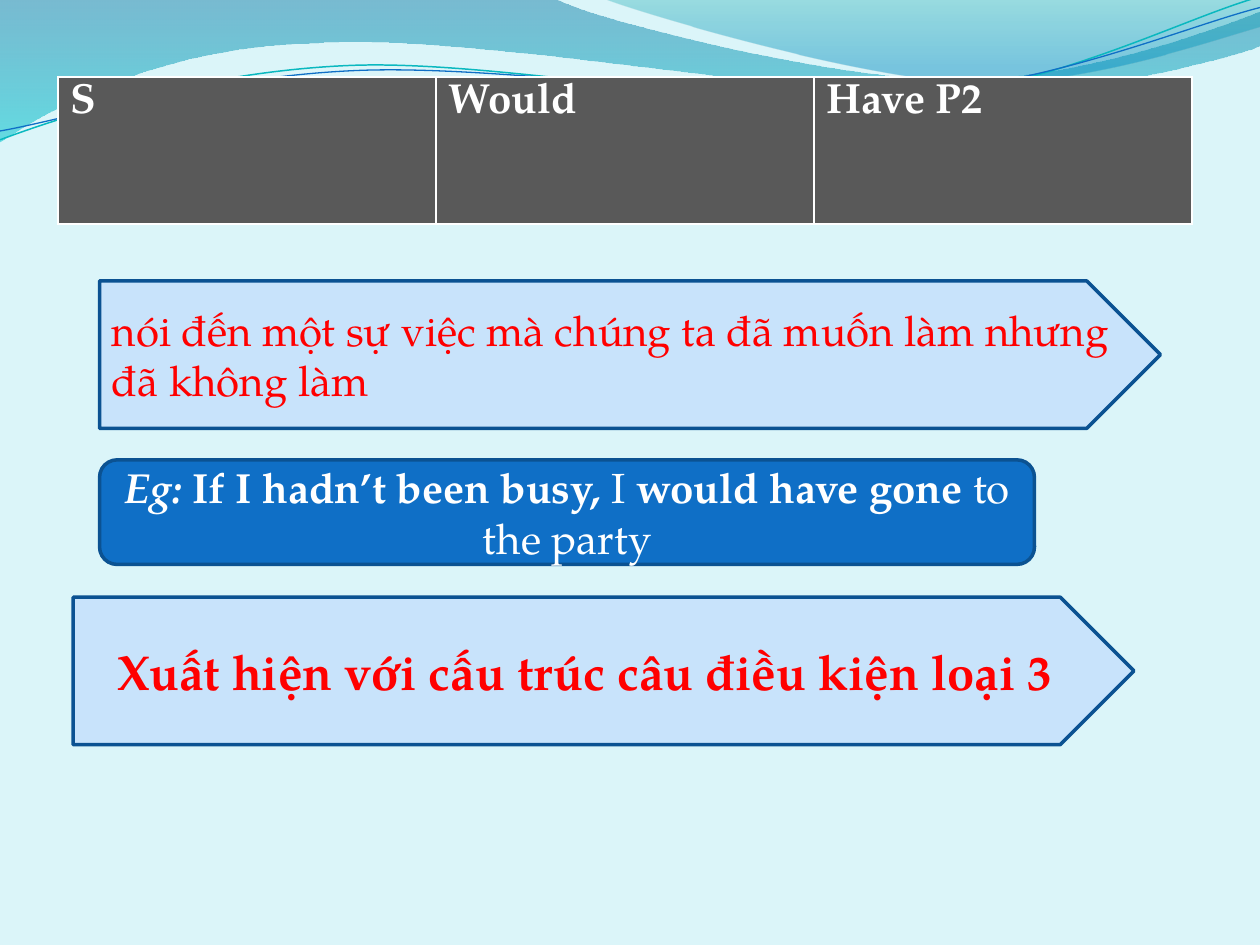
"""Build a grammar slide on the structure S + would + have P2."""
import math
import pptx
import pptx.util
import pptx.dml.color
import pptx.enum.shapes
import pptx.enum.text
import pptx.oxml.ns

Inches = pptx.util.Inches
RGBColor = pptx.dml.color.RGBColor
SHAPES = pptx.enum.shapes.MSO_SHAPE
ALIGN = pptx.enum.text.PP_ALIGN
qn = pptx.oxml.ns.qn

FONT = "TeX Gyre Pagella"
PALE_AQUA = RGBColor(0xDB, 0xF5, 0xF9)
DEEP_BLUE = RGBColor(0x00, 0x74, 0xA1)
CYAN = RGBColor(0x00, 0xC6, 0xCF)
TEAL = RGBColor(0x00, 0xA1, 0xA9)
SEA_BLUE = RGBColor(0x00, 0x8B, 0xBF)
TURQUOISE = RGBColor(0x0A, 0xB8, 0xBF)
BLUE = RGBColor(0x0F, 0x6F, 0xC6)
NAVY = RGBColor(0x0B, 0x52, 0x92)
LIGHT_BLUE = RGBColor(0xC8, 0xE3, 0xFB)
GRAY = RGBColor(0x59, 0x59, 0x59)
RED = RGBColor(0xFF, 0x00, 0x00)
WHITE = RGBColor(0xFF, 0xFF, 0xFF)
TILT = -2.7


def write_text(text_frame, runs, size=24, color=WHITE, align=None):
    """Write (text, bold, italic) runs into the first paragraph."""
    paragraph = text_frame.paragraphs[0]
    paragraph.alignment = align
    for text, bold, italic in runs:
        run = paragraph.add_run()
        run.text = text
        run.font.name = FONT
        run.font.size = pptx.util.Pt(size)
        run.font.bold = bold
        run.font.italic = italic
        run.font.color.rgb = color


def add_wave(shapes, start, segments, close=True, tilt=0, center=(0, 0)):
    """Draw a freeform from line ends (2 numbers) and cubic curves (6 numbers)."""
    cosine, sine = math.cos(math.radians(-tilt)), math.sin(math.radians(-tilt))
    parts = []
    for numbers in [start, *segments]:
        offsets = [(x - center[0], y - center[1]) for x, y in zip(numbers[::2], numbers[1::2])]
        parts.append([(Inches(center[0] + x * cosine - y * sine),
                       Inches(center[1] + x * sine + y * cosine)) for x, y in offsets])
    builder = shapes.build_freeform(*parts[0][0])
    builder.add_line_segments([part[-1] for part in parts[1:]], close=close)
    wave = builder.convert_to_shape()
    wave.shadow.inherit = False
    for line, part in zip(wave._element.findall(".//" + qn("a:lnTo")), parts[1:]):
        if len(part) == 3:
            curve = line.makeelement(qn("a:cubicBezTo"), {})
            for x, y in part:
                position = {"x": str(x - wave.left), "y": str(y - wave.top)}
                curve.append(curve.makeelement(qn("a:pt"), position))
            line.getparent().replace(line, curve)
    wave.rotation = tilt
    return wave


presentation = pptx.Presentation()
presentation.slide_width = Inches(10)
presentation.slide_height = Inches(7.5)
slide = presentation.slides.add_slide(presentation.slide_layouts[6])
slide.background.fill.solid()
slide.background.fill.fore_color.rgb = PALE_AQUA

left_wave = [
    (4.4, -0.01), (4.76, 0.17, 6.64, 0.63, 7.58, 0.63), (8.53, 0.63, 9.58, 0.26, 10, 0.09),
    (10.01, 0.36), (9.83, 0.44, 8.7, 0.76, 7.46, 0.75), (6.22, 0.75, 3.82, 0.28, 2.57, 0.34),
    (1.29, 0.36, 0.46, 0.83, -0.01, 1.13), (0, 0),
]
right_wave = [
    (5.09, 0.11, 6.82, 0.62, 7.69, 0.65), (8.56, 0.69, 9.61, 0.32, 10, 0.21), (10, 0),
]
for start, segments, stops in [
    ((0, 0), left_wave, [(0, DEEP_BLUE, 45), (1, CYAN, 55)]),
    ((4.79, -0.01), right_wave, [(0, TEAL, 30), (0.8, SEA_BLUE, 45)]),
]:
    wave = add_wave(slide.shapes, start, segments)
    wave.line.fill.background()
    wave.fill.gradient()
    wave.fill.gradient_angle = 270
    for gradient_stop, (position, color, _) in zip(wave.fill.gradient_stops, stops):
        gradient_stop.position = position
        gradient_stop.color.rgb = color
    color_elements = wave._element.spPr.findall(".//" + qn("a:srgbClr"))
    for element, (_, _, opacity) in zip(color_elements, stops):
        element.append(element.makeelement(qn("a:alpha"), {"val": str(opacity * 1000)}))

turquoise_curve = [
    (0.48, 0.93, 1.58, 0.57, 2.77, 0.52), (3.95, 0.47, 5.93, 0.89, 7.13, 0.8),
    (8.33, 0.71, 9.38, 0.15, 9.98, -0.02),
]
blue_curve = [
    (0.47, 0.96, 1.64, 0.61, 2.83, 0.56), (4.03, 0.51, 5.97, 0.84, 7.17, 0.75),
    (8.36, 0.67, 9.41, 0.21, 10, 0.06),
]
for start, segments, center, color, width in [
    ((0, 1.11), turquoise_curve, (4.99, 0.57), TURQUOISE, 0.85),
    ((0, 1.04), blue_curve, (5, 0.59), BLUE, 0.75),
]:
    curve = add_wave(slide.shapes, start, segments, close=False, tilt=TILT, center=center)
    curve.fill.background()
    curve.line.color.rgb = color
    curve.line.width = pptx.util.Pt(width)

table = slide.shapes.add_table(
    1, 3, Inches(0.46), Inches(0.61), Inches(9), Inches(1.17)).table
for cell, heading in zip(table.rows[0].cells, ["S", "Would", "Have P2"]):
    write_text(cell.text_frame, [(heading, True, False)])
    cell.fill.solid()
    cell.fill.fore_color.rgb = GRAY

condition = [("Xuất hiện với cấu trúc câu điều kiện loại 3", True, False)]
meaning = [("nói đến một sự việc mà chúng ta đã muốn làm nhưng đã không làm", False, False)]
example = [
    ("Eg: ", True, True), ("If I hadn’t been busy, ", True, False), ("I ", False, False),
    ("would have gone", True, False), (" to the party", False, False),
]
for kind, box, fill, runs, size, color, align in [
    (SHAPES.PENTAGON, (0.58, 4.74, 8.42, 1.17), LIGHT_BLUE, condition, 28, RED, ALIGN.CENTER),
    (SHAPES.PENTAGON, (0.79, 2.23, 8.42, 1.17), LIGHT_BLUE, meaning, 24, RED, ALIGN.LEFT),
    (SHAPES.ROUNDED_RECTANGLE, (0.79, 3.65, 7.42, 0.83), BLUE, example, 24, WHITE, ALIGN.CENTER),
]:
    shape = slide.shapes.add_shape(kind, *map(Inches, box))
    shape.shadow.inherit = False
    shape.fill.solid()
    shape.fill.fore_color.rgb = fill
    shape.line.color.rgb = NAVY
    shape.line.width = pptx.util.Pt(2)
    shape.text_frame.word_wrap = True
    shape.text_frame.vertical_anchor = pptx.enum.text.MSO_ANCHOR.MIDDLE
    write_text(shape.text_frame, runs, size=size, color=color, align=align)

presentation.save("out.pptx")
